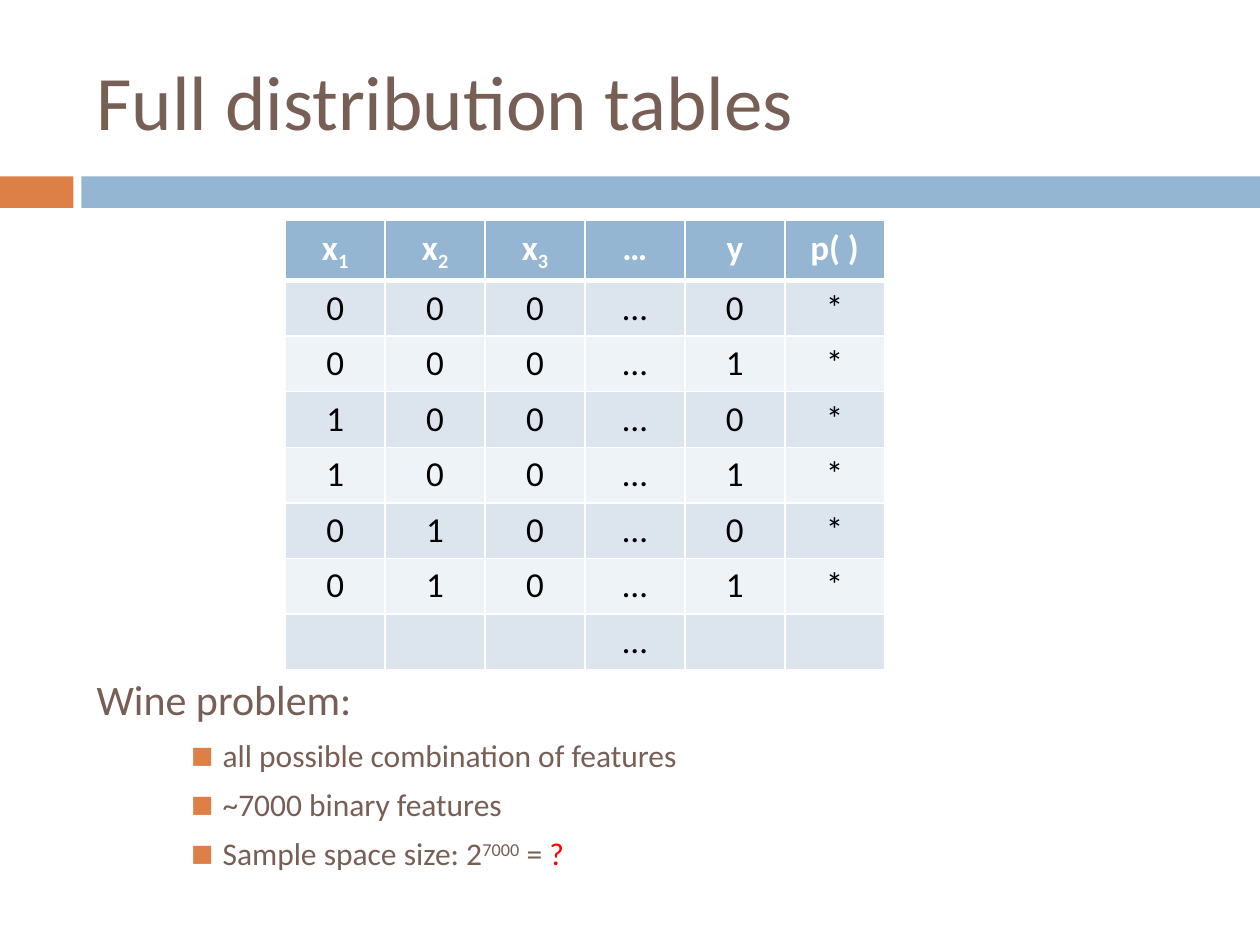
from lxml import etree
from pptx import Presentation
from pptx import util as u
from pptx.dml.color import RGBColor
from pptx.enum import shapes, text
from pptx.oxml import ns

ORANGE, BLUE, BROWN = "DD8047", "94B6D2", "775F55"
WHITE, BLACK, RED = "FFFFFF", "000000", "FF0000"
BANDS = ["DCE5EE", "EEF3F7"]


def rgb(code):
    return RGBColor.from_string(code)


def sub(node, tag, **vals):
    return etree.SubElement(node, ns.qn("a:" + tag), vals)


class Deck:
    font = "Calibri"

    def __init__(self, wide, high):
        self.prs = Presentation()
        self.prs.slide_width, self.prs.slide_height = u.Pt(wide), u.Pt(high)
        self.slide = self.prs.slides.add_slide(self.prs.slide_layouts[1])

    def runs(self, para, parts, size, color, bold=False):
        """Add runs; a part is a string or (string, baseline, color)."""
        for part in parts:
            words, base, hue = (part, 0, color) if isinstance(part, str) else part
            run = para.add_run()
            run.text = words
            form = {"name": self.font, "size": u.Pt(size), "bold": bold}
            for key, val in form.items():
                setattr(run.font, key, val)
            run.font.color.rgb = rgb(hue)
            if base:
                run._r.get_or_add_rPr().set("baseline", str(base * 1000))

    def bar(self, x, y, w, h, color):
        box = self.slide.shapes.add_shape(
            shapes.MSO_SHAPE.RECTANGLE, *map(u.Pt, (x, y, w, h)))
        box.shadow.inherit = False
        box.fill.solid()
        box.fill.fore_color.rgb = rgb(color)
        box.line.fill.background()

    def holder(self, idx, x, y, w, h, anchor):
        """Move a placeholder and return its text frame."""
        box = self.slide.placeholders[idx]
        for key, val in {"left": x, "top": y, "width": w, "height": h}.items():
            setattr(box, key, u.Pt(val))
        frame = box.text_frame
        form = {"word_wrap": True, "vertical_anchor": anchor,
                "auto_size": text.MSO_AUTO_SIZE.NONE}
        for key, val in form.items():
            setattr(frame, key, val)
        return frame

    def title(self, words, *place):
        para = self.holder(0, *place, text.MSO_ANCHOR.MIDDLE).paragraphs[0]
        para.alignment = text.PP_ALIGN.LEFT
        self.runs(para, [words], 44, BROWN)

    def body(self, head, items, *place):
        frame = self.holder(1, *place, text.MSO_ANCHOR.TOP)
        para = frame.paragraphs[0]
        para.line_spacing, para.space_before = 0.93, u.Pt(0)
        props = para._p.get_or_add_pPr()
        props.set("marL", "0")
        props.set("indent", "0")
        sub(props, "buNone")
        self.runs(para, [head], 24, BROWN)
        for item in items:
            para = frame.add_paragraph()
            form = {"level": 2, "line_spacing": 0.93, "space_before": u.Pt(8)}
            for key, val in form.items():
                setattr(para, key, val)
            self.bullet(para)
            self.runs(para, item, 18, BROWN)

    def bullet(self, para):
        props = para._p.get_or_add_pPr()
        props.set("marL", str(u.Pt(72)))
        props.set("indent", str(u.Pt(-18)))
        sub(sub(props, "buClr"), "srgbClr", val=ORANGE)
        sub(props, "buSzPct", val="75000")
        sub(props, "buFont", typeface=self.font)
        sub(props, "buChar", char="■")

    def edge(self, cell, row):
        """Draw white borders, thick between the header and the rows."""
        props = cell._tc.get_or_add_tcPr()
        thick = {"T": 3 if row == 1 else 1, "B": 3 if row == 0 else 1}
        for side in "LRTB":
            line = sub(props, "ln" + side, w=str(u.Pt(thick.get(side, 1))))
            sub(sub(line, "solidFill"), "srgbClr", val=WHITE)

    def table(self, rows, x, y, wide, high):
        count = len(rows[0])
        grid = self.slide.shapes.add_table(
            len(rows), count, u.Pt(x), u.Pt(y),
            u.Pt(wide * count), u.Pt(high * len(rows))).table
        grid.horz_banding = False
        for r, row in enumerate(rows):
            for c, parts in enumerate(row):
                cell = grid.cell(r, c)
                self.edge(cell, r)
                cell.fill.solid()
                cell.fill.fore_color.rgb = rgb(BANDS[(r - 1) % 2] if r else BLUE)
                para = cell.text_frame.paragraphs[0]
                para.alignment = text.PP_ALIGN.CENTER
                self.runs(para, parts, 20, BLACK if r else WHITE, r == 0)


def main():
    deck = Deck(720, 540)
    deck.bar(0, 100.8, 42, 18, ORANGE)
    deck.bar(46.5, 100.8, 673.5, 18, BLUE)
    deck.title("Full distribution tables", 48, 18, 642, 78)

    names = [["x", (n, -25, WHITE)] for n in "123"]
    rows = [names + ["…", "y", ["p( )"]]]
    rows += [a + b + "0…" + y + "*" for a, b in ("00", "10", "01") for y in "01"]
    rows.append([""] * 3 + ["…"] + [""] * 2)
    deck.table(rows, 163, 126, 57.1, 29.6)

    deck.body("Wine problem:", [
        ["all possible combination of features"],
        ["~7000 binary features"],
        ["Sample space size: 2", ("7000", 30, BROWN), " = ", ("?", 0, RED)],
    ], 48, 384, 642, 126)
    deck.prs.save("out.pptx")


if __name__ == "__main__":
    main()
